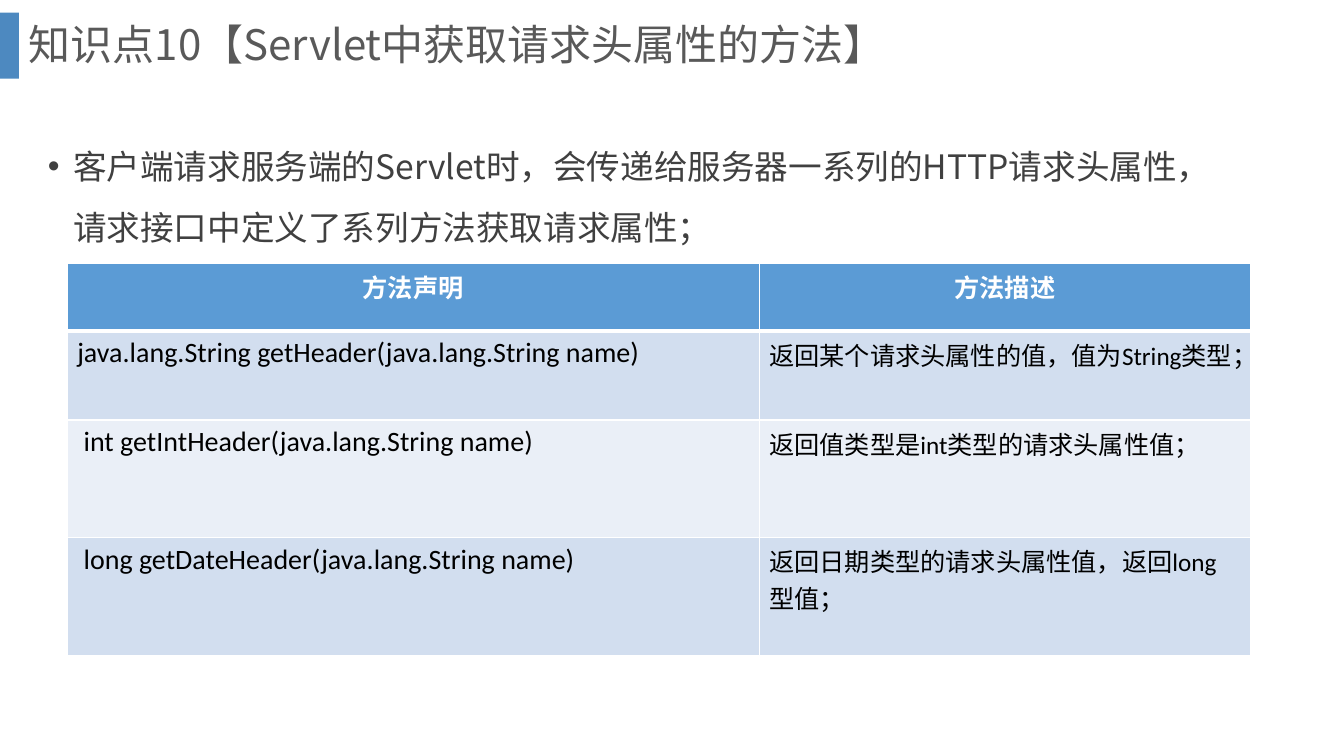
from lxml import etree
from pptx import Presentation
from pptx import util as u
from pptx.dml.color import RGBColor
from pptx.enum import shapes, text
from pptx.oxml import ns

PX = 9525
SANS = "Noto Sans CJK SC"
WHITE = RGBColor(0xFF, 0xFF, 0xFF)
BLACK = RGBColor(0, 0, 0)
TITLE = RGBColor(0x59, 0x59, 0x59)
BODY = RGBColor(0x40, 0x40, 0x40)
BAR = RGBColor(0x2E, 0x75, 0xB6)
HEAD = RGBColor(0x5B, 0x9B, 0xD5)
BANDS = [RGBColor(0xD2, 0xDE, 0xEF), RGBColor(0xEA, 0xEF, 0xF7)]


def write(frame, line, size, color, font=SANS, bold=False,
          align=text.PP_ALIGN.LEFT, space=1.0):
    para = frame.paragraphs[0]
    para.alignment = align
    para.line_spacing = space
    para.space_before = u.Pt(0)
    run = para.add_run()
    run.text = line
    run.font.size = u.Pt(size)
    run.font.bold = bold
    run.font.color.rgb = color
    run.font.name = font
    east = etree.SubElement(run.font._element, ns.qn("a:ea"))
    east.set("typeface", SANS)
    return para


def place(shape, left, top, width, height, anchor):
    shape.left, shape.top = left * PX, top * PX
    shape.width, shape.height = width * PX, height * PX
    frame = shape.text_frame
    frame.word_wrap = True
    frame.auto_size = text.MSO_AUTO_SIZE.NONE
    frame.vertical_anchor = anchor
    return frame


deck = Presentation()
deck.slide_width, deck.slide_height = 1280 * PX, 720 * PX
slide = deck.slides.add_slide(deck.slide_layouts[1])

# Accent bar beside the title
bar = slide.shapes.add_shape(
    shapes.MSO_SHAPE.RECTANGLE, 0, 12 * PX, 18 * PX, 63 * PX)
bar.shadow.inherit = False
bar.fill.solid()
bar.fill.fore_color.rgb = BAR
bar.line.fill.background()
tint = bar._element.spPr.find(".//" + ns.qn("a:srgbClr"))
etree.SubElement(tint, ns.qn("a:alpha")).set("val", "85000")

# Title and bullet
frame = place(slide.shapes.title, 18, 0, 1215, 89, text.MSO_ANCHOR.MIDDLE)
write(frame, "知识点10【Servlet中获取请求头属性的方法】", 30, TITLE, space=0.9)

frame = place(slide.placeholders[1], 36, 115, 1157, 140, text.MSO_ANCHOR.TOP)
para = write(
    frame,
    "客户端请求服务端的Servlet时，会传递给服务器一系列的HTTP请求头属性，"
    "请求接口中定义了系列方法获取请求属性；",
    24, BODY, space=1.5)
props = para._p.get_or_add_pPr()
props.set("marL", str(24 * PX))
props.set("indent", str(-24 * PX))
etree.SubElement(props, ns.qn("a:buFont")).set("typeface", "Arial")
etree.SubElement(props, ns.qn("a:buChar")).set("char", "•")

# Table of methods
rows = [
    ("方法声明", "方法描述"),
    ("java.lang.String getHeader(java.lang.String name)",
     "返回某个请求头属性的值，值为String类型；"),
    (" int getIntHeader(java.lang.String name)",
     "返回值类型是int类型的请求头属性值；"),
    (" long getDateHeader(java.lang.String name)",
     "返回日期类型的请求头属性值，返回long型值；"),
]
wide = [659, 468]
high = [64, 85, 112, 112]
grid = slide.shapes.add_table(
    len(rows), len(wide), 64 * PX, 251 * PX,
    sum(wide) * PX, sum(high) * PX).table
for col, width in zip(grid.columns, wide):
    col.width = width * PX
for row, height in zip(grid.rows, high):
    row.height = height * PX

for r, row in enumerate(rows):
    for c, line in enumerate(row):
        cell = grid.cell(r, c)
        edges = {"lnL": 1, "lnR": 1,
                 "lnT": 3 if r == 1 else 1, "lnB": 3 if r == 0 else 1}
        for tag, width in edges.items():
            edge = etree.SubElement(
                cell._tc.get_or_add_tcPr(), ns.qn("a:" + tag))
            edge.set("w", str(u.Pt(width)))
            solid = etree.SubElement(edge, ns.qn("a:solidFill"))
            etree.SubElement(solid, ns.qn("a:srgbClr")).set("val", str(WHITE))
        cell.fill.solid()
        if r == 0:
            cell.fill.fore_color.rgb = HEAD
            write(cell.text_frame, line, 18, WHITE, font="Calibri",
                  bold=True, align=text.PP_ALIGN.CENTER)
        else:
            cell.fill.fore_color.rgb = BANDS[(r - 1) % 2]
            write(cell.text_frame, line, 18 if c else 20, BLACK,
                  font="Calibri")

deck.save("out.pptx")
